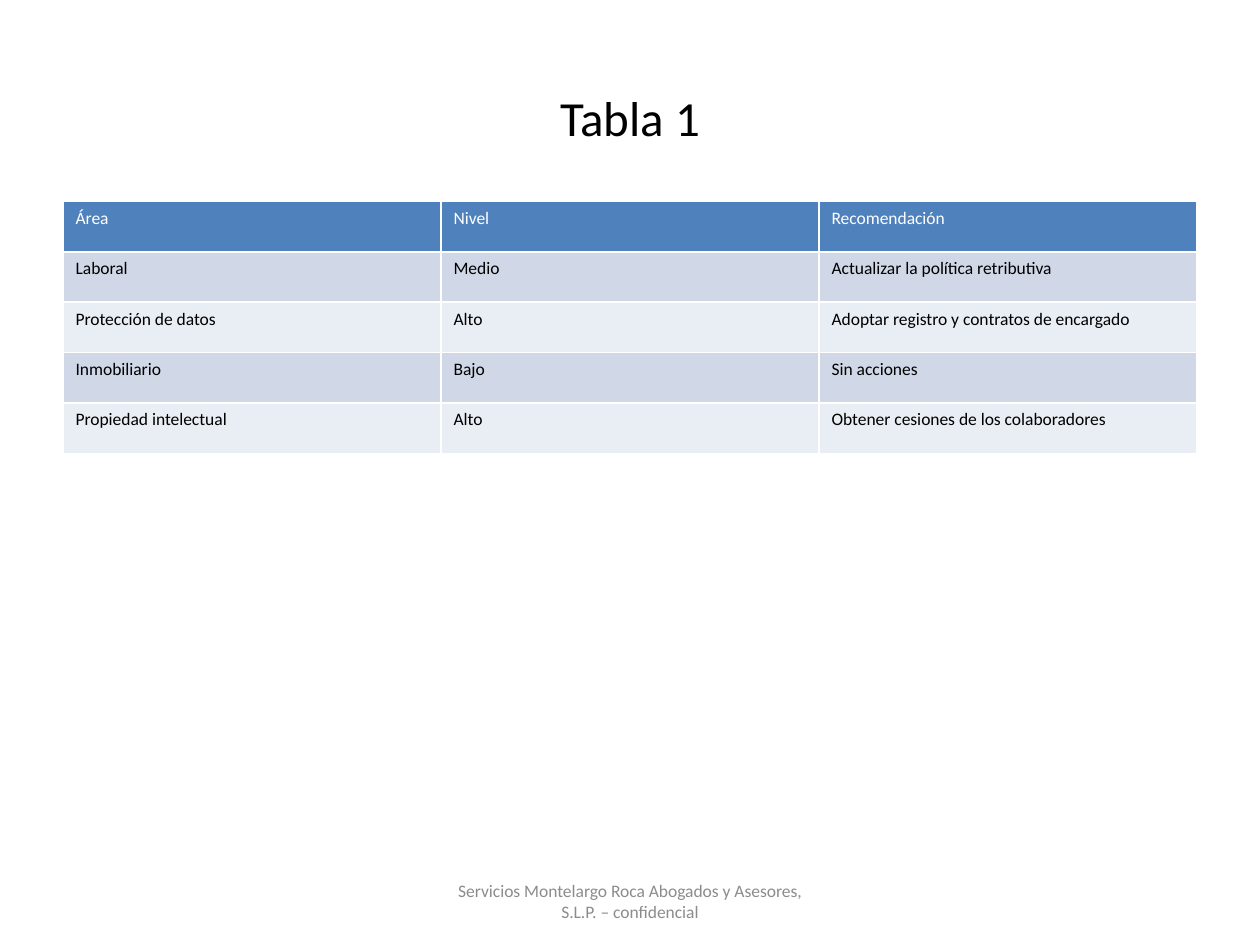
from pptx import Presentation
from pptx.dml.color import RGBColor
from pptx.enum.text import MSO_ANCHOR, PP_ALIGN
from pptx.util import Cm, Pt

CENTER, MIDDLE = PP_ALIGN.CENTER, MSO_ANCHOR.MIDDLE
FONT = "Calibri"
BLACK = RGBColor(0x00, 0x00, 0x00)
WHITE = RGBColor(0xFF, 0xFF, 0xFF)
GRAY = RGBColor(0x8C, 0x8C, 0x8C)
HEADER = RGBColor(0x4F, 0x81, 0xBD)
BANDS = [RGBColor(0xE9, 0xED, 0xF4), RGBColor(0xD0, 0xD8, 0xE8)]

ROWS = [
    ("Área", "Nivel", "Recomendación"),
    ("Laboral", "Medio", "Actualizar la política retributiva"),
    ("Protección de datos", "Alto", "Adoptar registro y contratos de encargado"),
    ("Inmobiliario", "Bajo", "Sin acciones"),
    ("Propiedad intelectual", "Alto", "Obtener cesiones de los colaboradores"),
]


def set_text(tf, text, size, color):
    tf.text = text
    font = tf.paragraphs[0].runs[0].font
    font.name, font.size, font.bold = FONT, Pt(size), False
    font.color.rgb = color


def add_centered_text(s, text, box, size, color):
    tf = s.shapes.add_textbox(*[Cm(v) for v in box]).text_frame
    tf.word_wrap = True
    tf.vertical_anchor = MIDDLE
    set_text(tf, text, size, color)
    tf.paragraphs[0].alignment = CENTER


prs = Presentation()
prs.slide_width, prs.slide_height = Cm(25.4), Cm(19.05)
s = prs.slides.add_slide(prs.slide_layouts[6])

# Title
add_centered_text(s, "Tabla 1", (1.27, 0.76, 22.86, 3.18), 28, BLACK)

# Table: the default style supplies the white cell borders
table = s.shapes.add_table(len(ROWS), len(ROWS[0]), Cm(1.27), Cm(4.06),
                           Cm(22.86), Cm(5.08)).table
for i, row in enumerate(ROWS):
    for j, text in enumerate(row):
        cell = table.cell(i, j)
        cell.fill.solid()
        cell.fill.fore_color.rgb = BANDS[i % 2] if i else HEADER
        set_text(cell.text_frame, text, 10, BLACK if i else WHITE)

# Footer
add_centered_text(s, "Servicios Montelargo Roca Abogados y Asesores, S.L.P. – confidencial",
                  (8.68, 17.65, 8.04, 1.02), 10, GRAY)

prs.save("out.pptx")
